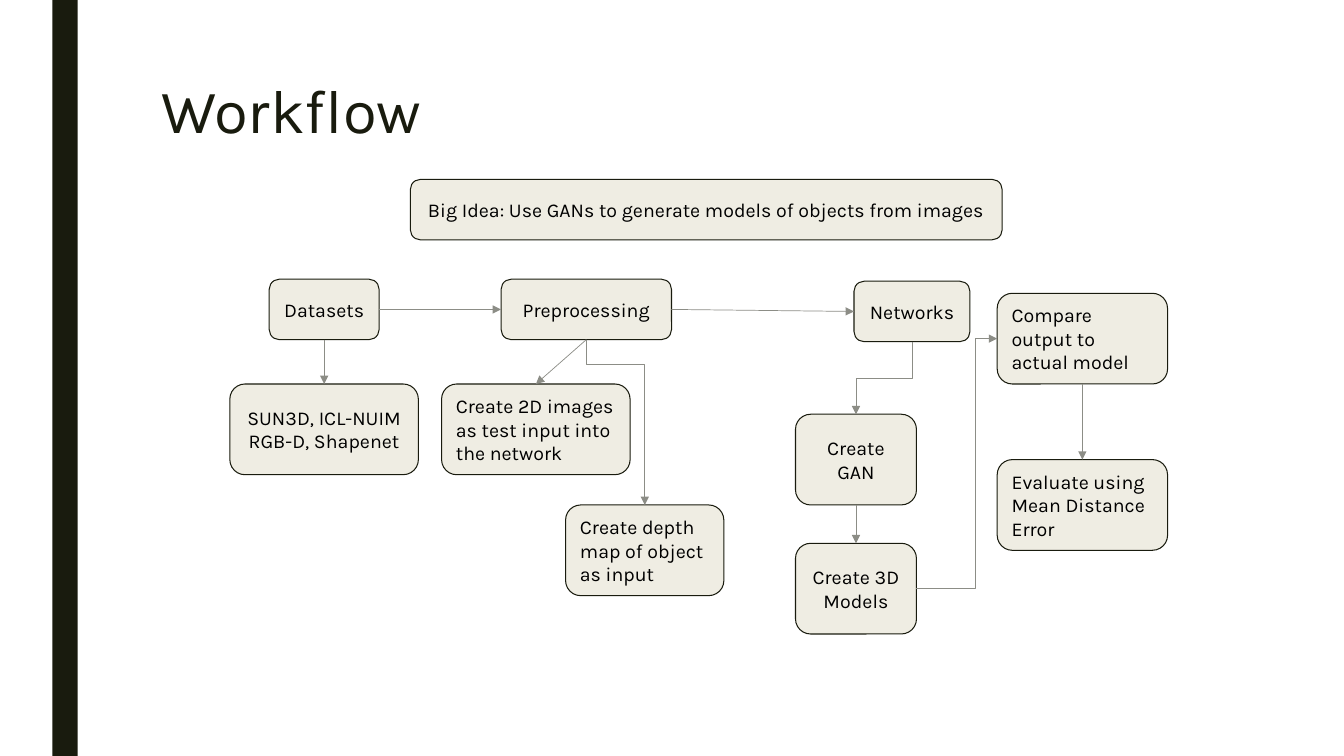
from lxml.etree import SubElement
from pptx import Presentation
from pptx.dml.color import RGBColor
from pptx.enum.shapes import MSO_CONNECTOR, MSO_SHAPE
from pptx.enum.text import MSO_ANCHOR, PP_ALIGN
from pptx.oxml.ns import qn
from pptx.util import Inches, Pt

COLORS = {"dark": "191B0E", "box": "EFEDE3", "arrow": "8C8D86", "text": "000000"}
FONT = "Karla"
TITLE = "Workflow"
LOW, TALL = 0.6, 0.9  # box heights
CENTER, LEFT = PP_ALIGN.CENTER, PP_ALIGN.LEFT
TOP_SITE, LEFT_SITE, BOTTOM_SITE, RIGHT_SITE = range(4)

# name: (text, left, top, width, height, alignment)
BOXES = {
    "idea": ("Big Idea: Use GANs to generate models of objects from images",
             4.07, 1.78, 5.87, LOW, CENTER),
    "datasets": ("Datasets", 2.67, 2.77, 1.09, LOW, CENTER),
    "preprocessing": ("Preprocessing", 4.97, 2.77, 1.69, LOW, CENTER),
    "networks": ("Networks", 8.47, 2.79, 1.15, LOW, CENTER),
    "sources": ("SUN3D, ICL-NUIM RGB-D, Shapenet", 2.28, 3.81, 1.87, TALL, CENTER),
    "images": ("Create 2D images as test input into the network",
               4.38, 3.81, 1.87, TALL, LEFT),
    "depth": ("Create depth map of object as input", 5.61, 5.01, 1.57, TALL, LEFT),
    "gan": ("Create GAN", 7.89, 4.11, 1.2, TALL, CENTER),
    "models": ("Create 3D Models", 7.89, 5.39, 1.2, TALL, CENTER),
    "compare": ("Compare output to actual model", 9.89, 2.91, 1.69, TALL, LEFT),
    "evaluate": ("Evaluate using Mean Distance Error", 9.89, 4.56, 1.69, TALL, LEFT),
}

# (from, site, to, site, position of the bend or None for a straight arrow)
ARROWS = [
    ("datasets", RIGHT_SITE, "preprocessing", LEFT_SITE, None),
    ("preprocessing", RIGHT_SITE, "networks", LEFT_SITE, None),
    ("datasets", BOTTOM_SITE, "sources", TOP_SITE, None),
    ("preprocessing", BOTTOM_SITE, "images", TOP_SITE, None),
    ("preprocessing", BOTTOM_SITE, "depth", TOP_SITE, 0.15),
    ("networks", BOTTOM_SITE, "gan", TOP_SITE, 0.5),
    ("gan", BOTTOM_SITE, "models", TOP_SITE, None),
    ("models", RIGHT_SITE, "compare", LEFT_SITE, 0.73),
    ("compare", BOTTOM_SITE, "evaluate", TOP_SITE, None),
]


def rgb(name):
    return RGBColor.from_string(COLORS[name])


def write(tf, text, size, color, align=LEFT, anchor=MSO_ANCHOR.TOP, spacing=1.0):
    tf.word_wrap = True
    tf.vertical_anchor = anchor
    p = tf.paragraphs[0]
    p.alignment, p.line_spacing = align, spacing
    r = p.add_run()
    r.text = text
    r.font.name, r.font.size = FONT, Pt(size)
    r.font.color.rgb = rgb(color)


def add_box(slide, text, left, top, width, height, align):
    sp = slide.shapes.add_shape(MSO_SHAPE.ROUNDED_RECTANGLE, Inches(left),
                                Inches(top), Inches(width), Inches(height))
    sp.shadow.inherit = False
    sp.fill.solid()
    sp.fill.fore_color.rgb = rgb("box")
    sp.line.color.rgb = rgb("dark")
    sp.line.width = Pt(0.75)
    tf = sp.text_frame
    tf.margin_left = tf.margin_right = tf.margin_top = tf.margin_bottom = Inches(0.1)
    write(tf, text, 14, "text", align=align, anchor=MSO_ANCHOR.MIDDLE)
    return sp


def turn_downward(c):
    """Rotate an elbow so that it leaves and arrives vertically."""
    dx, dy = c.end_x - c.begin_x, c.end_y - c.begin_y
    mid_x, mid_y = (c.begin_x + c.end_x) // 2, (c.begin_y + c.end_y) // 2
    c.width, c.height = abs(dy), abs(dx)
    c.left, c.top = mid_x - c.width // 2, mid_y - c.height // 2
    xfrm = c.element.spPr.find(qn("a:xfrm"))
    xfrm.set("rot", str((270 if dx > 0 else 90) * 60000))
    xfrm.set("flipH", "1" if dx > 0 else "0")


def add_arrow(slide, start, start_site, end, end_site, bend):
    kind = MSO_CONNECTOR.STRAIGHT if bend is None else MSO_CONNECTOR.ELBOW
    c = slide.shapes.add_connector(kind, 0, 0, 0, 0)
    c.begin_connect(start, start_site)
    c.end_connect(end, end_site)
    c.line.color.rgb = rgb("arrow")
    c.line.width = Pt(0.5)
    spPr = c.element.spPr
    SubElement(spPr.find(qn("a:ln")), qn("a:tailEnd"), type="triangle")
    SubElement(spPr, qn("a:effectLst"))
    if bend is not None:
        guides = spPr.find(qn("a:prstGeom")).find(qn("a:avLst"))
        SubElement(guides, qn("a:gd"), name="adj1", fmla=f"val {round(bend * 100000)}")
        if start_site == BOTTOM_SITE:
            turn_downward(c)


def main():
    prs = Presentation()
    prs.slide_width, prs.slide_height = Inches(13.33), Inches(7.5)
    slide = prs.slides.add_slide(prs.slide_layouts[6])

    bar = slide.shapes.add_shape(MSO_SHAPE.RECTANGLE, Inches(0.52), 0,
                                 Inches(0.25), prs.slide_height)
    bar.shadow.inherit = False
    bar.fill.solid()
    bar.fill.fore_color.rgb = rgb("dark")
    bar.line.fill.background()

    title = slide.shapes.add_textbox(Inches(1.5), Inches(0.75), Inches(10.5), Inches(1.62))
    write(title.text_frame, TITLE, 44, "dark", spacing=0.89)

    boxes = {name: add_box(slide, *box) for name, box in BOXES.items()}
    for start, start_site, end, end_site, bend in ARROWS:
        add_arrow(slide, boxes[start], start_site, boxes[end], end_site, bend)
    prs.save("out.pptx")


if __name__ == "__main__":
    main()
